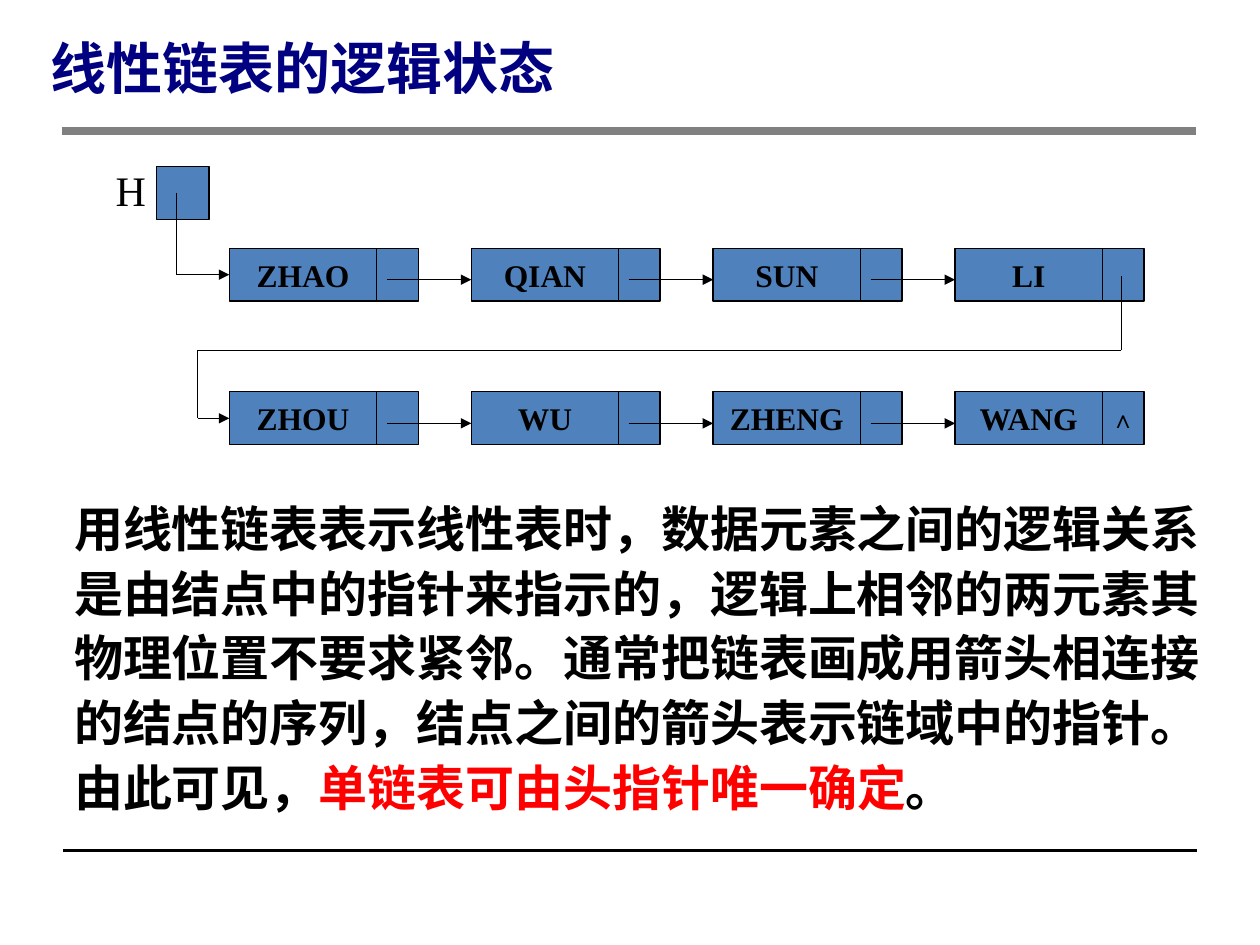
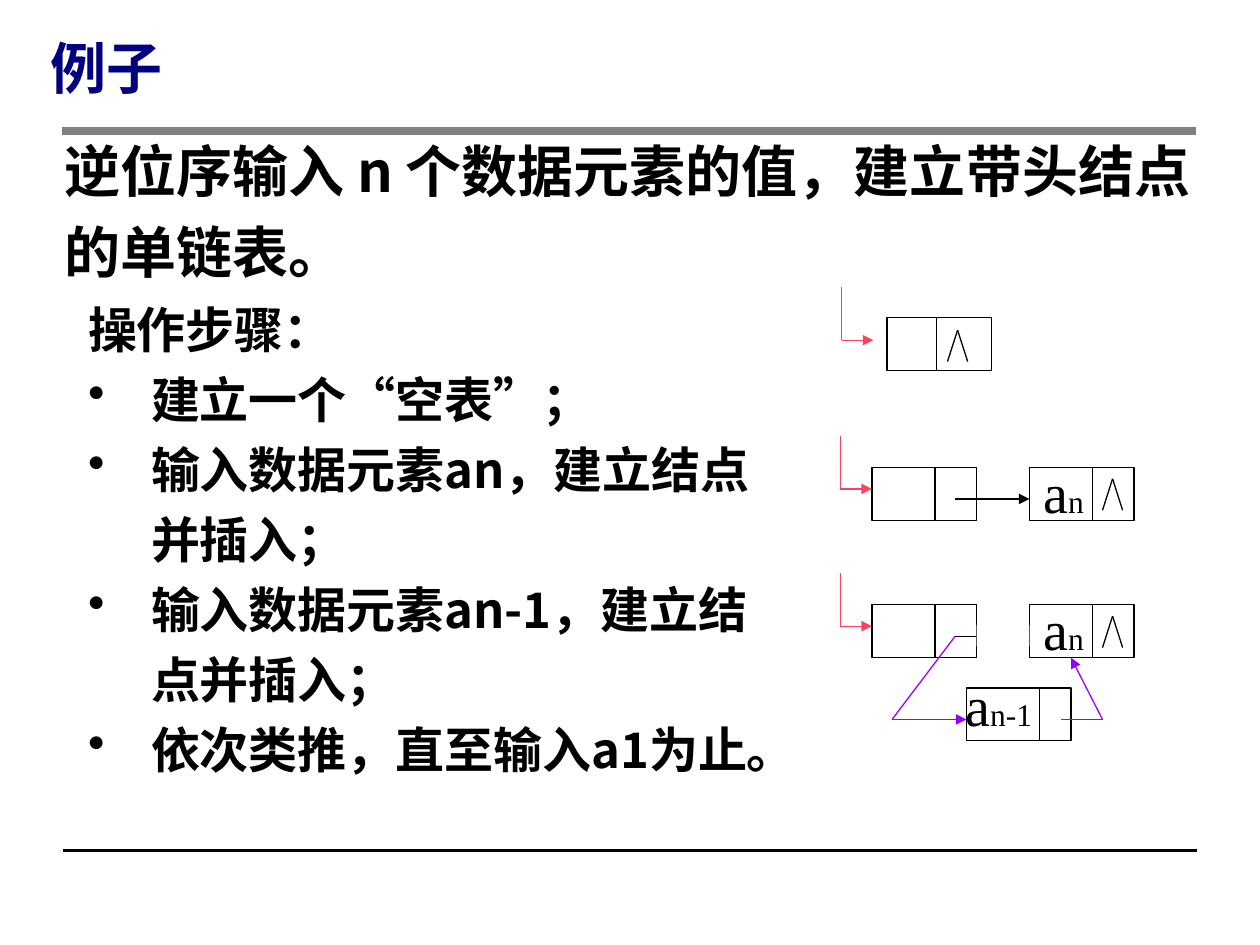
from dataclasses import dataclass

import pptx
import pptx.dml.color
import pptx.enum.lang
import pptx.enum.shapes
import pptx.enum.text
import pptx.oxml
import pptx.oxml.ns
import pptx.util

ALIGN = pptx.enum.text.PP_ALIGN
ANCHOR = pptx.enum.text.MSO_ANCHOR
FIT = pptx.enum.text.MSO_AUTO_SIZE


@dataclass(frozen=True)
class Theme:
    ink: str = "000000"
    title: str = "000080"
    rule: str = "808080"
    node: str = "4F81BD"
    paper: str = "FFFFFF"
    accent: str = "FF0000"
    head_pointer: str = "FB415C"
    new_link: str = "9900FF"
    sans: str = "Noto Sans CJK SC"
    serif: str = "Times New Roman"
    title_size: int = 32
    body_size: int = 28
    head_size: int = 24
    node_size: int = 18
    nil_size: int = 14
    line_pitch: int = 40
    thin: float = 0.75


THEME = Theme()
EMU_PER_PX = 9144  # 100 px to the inch
NODE_HEIGHT = 42


def px(length):
    return pptx.util.Emu(length * EMU_PER_PX)


def rgb(color):
    return pptx.dml.color.RGBColor.from_string(color)


def format_run(run, size, font=THEME.sans, color=THEME.ink, bold=False, chinese=False):
    run.font.size = pptx.util.Pt(size)
    run.font.name = font
    run.font.bold = bold
    run.font.color.rgb = rgb(color)
    if chinese:
        run.font.language_id = pptx.enum.lang.MSO_LANGUAGE_ID.SIMPLIFIED_CHINESE
        east_asian = pptx.oxml.parse_xml(
            f'<a:ea {pptx.oxml.ns.nsdecls("a")} typeface="{THEME.sans}"/>')
        run.font._element.find(pptx.oxml.ns.qn("a:latin")).addnext(east_asian)


def add_run(paragraph, text, size, **style):
    run = paragraph.add_run()
    run.text = text
    format_run(run, size, **style)


def add_text_box(slide, left, top, width, height, wrap=True):
    text_box = slide.shapes.add_textbox(px(left), px(top), px(width), px(height))
    text_box.text_frame.word_wrap = wrap
    text_box.text_frame.auto_size = FIT.SHAPE_TO_FIT_TEXT
    return text_box.text_frame


def add_line(slide, start, end, color=THEME.ink, weight=THEME.thin, arrow=False):
    line = slide.shapes.add_connector(
        pptx.enum.shapes.MSO_CONNECTOR.STRAIGHT, *map(px, (*start, *end)))
    line.line.color.rgb = rgb(color)
    line.line.width = pptx.util.Pt(weight)
    namespace = pptx.oxml.ns.nsdecls("a")
    if arrow:
        line.line._get_or_add_ln().append(
            pptx.oxml.parse_xml(f'<a:tailEnd {namespace} type="triangle"/>'))
    line._element.spPr.append(pptx.oxml.parse_xml(f"<a:effectLst {namespace}/>"))
    return line


def add_path(slide, *points, color=THEME.ink, arrow=True):
    """Draw a line through the points and return its last segment."""
    last = len(points) - 2
    for index, (start, end) in enumerate(zip(points, points[1:])):
        segment = add_line(slide, start, end, color, arrow=arrow and index == last)
    return segment


def add_cell(slide, left, top, width, height=NODE_HEIGHT, fill=THEME.node, outlined=True):
    cell = slide.shapes.add_shape(
        pptx.enum.shapes.MSO_SHAPE.RECTANGLE, px(left), px(top), px(width), px(height))
    cell.shadow.inherit = False
    cell.fill.solid()
    cell.fill.fore_color.rgb = rgb(fill)
    if outlined:
        cell.line.color.rgb = rgb(THEME.ink)
        cell.line.width = pptx.util.Pt(THEME.thin)
    else:
        cell.line.fill.background()
    return cell


def label_cell(cell, text, size, bold):
    frame = cell.text_frame
    frame.word_wrap = False
    frame.vertical_anchor = ANCHOR.MIDDLE
    frame.text = text
    frame.paragraphs[0].alignment = ALIGN.CENTER
    format_run(frame.paragraphs[0].runs[0], size, THEME.serif, bold=bold)


def add_titled_slide(presentation, title_text):
    slide = presentation.slides.add_slide(presentation.slide_layouts[5])
    add_line(slide, (50, 675), (950, 675), weight=2)
    add_line(slide, (49, 104), (949, 104), THEME.rule, 5)
    title = slide.shapes.title
    title.left, title.top, title.width, title.height = map(px, (30, 18, 850, 68))
    frame = title.text_frame
    frame.text = title_text
    frame.auto_size = FIT.NONE
    frame.vertical_anchor = ANCHOR.MIDDLE
    paragraph = frame.paragraphs[0]
    paragraph.alignment = ALIGN.LEFT
    paragraph.line_spacing = pptx.util.Pt(THEME.line_pitch)
    format_run(paragraph.runs[0], THEME.title_size, color=THEME.title,
               bold=True, chinese=True)
    return slide


def add_node_row(slide, left, top, names):
    """Draw a row of linked nodes and return the first data cell."""
    data_width, link_width, pitch = 117, 33, 192
    data_cells = []
    for index, name in enumerate(names):
        node_left = left + index * pitch
        link_left = node_left + data_width
        data_cells.append(add_cell(slide, node_left, top, data_width))
        label_cell(data_cells[-1], name, THEME.node_size, True)
        add_cell(slide, link_left, top, link_width)
    for index in range(len(names) - 1):
        node_left = left + index * pitch
        add_line(slide, (node_left + data_width + 8, top + 25),
                 (node_left + pitch, top + 25), arrow=True)
    return data_cells[0]


def add_logical_list(slide, left, top):
    """Draw the head pointer H and two node rows."""
    first_top, second_top = top + 65, top + 179
    rows_left = left + 100
    first = add_node_row(slide, rows_left, first_top, ("ZHAO", "QIAN", "SUN", "LI"))
    second = add_node_row(slide, rows_left, second_top, ("ZHOU", "WU", "ZHENG", "WANG"))
    nil_cell = slide.shapes[-4]
    label_cell(nil_cell, "∧", THEME.nil_size, False)

    add_cell(slide, left + 42, top, 42)
    head = add_text_box(slide, left, top - 6, 42, 50)
    head.paragraphs[0].alignment = ALIGN.RIGHT
    add_run(head.paragraphs[0], "H", THEME.head_size, font=THEME.serif)

    half = NODE_HEIGHT // 2
    first_y, second_y = first_top + half, second_top + half
    head_x, link_x, turn_x, turn_y = left + 58, left + 808, left + 75, top + 146
    to_first = add_path(slide, (head_x, top + half), (head_x, first_y),
                        (rows_left, first_y))
    to_first.end_connect(first, 1)
    to_second = add_path(slide, (link_x, top + 87), (link_x, turn_y), (turn_x, turn_y),
                         (turn_x, second_y), (rows_left, second_y))
    to_second.end_connect(second, 1)


def add_explanation(slide, left, top):
    paragraph = add_text_box(slide, left, top, 950, 267).paragraphs[0]
    paragraph.line_spacing = 1.1
    parts = (
        ("用线性链表表示线性表时，数据元素之间的逻辑关系是由结点中的指针来指示的，"
         "逻辑上相邻的两元素其物理位置不要求紧邻。通常把链表画成用箭头相连接的结点的序列，"
         "结点之间的箭头表示链域中的指针。由此可见，", THEME.ink),
        ("单链表可由头指针唯一确定", THEME.accent),
        ("。", THEME.ink),
    )
    for text, color in parts:
        add_run(paragraph, text, THEME.body_size, font=THEME.serif, color=color,
                bold=True, chinese=True)


def add_steps(slide, left, top):
    task = add_text_box(slide, left, top, 925, 139).paragraphs[0]
    task.line_spacing = 1.2
    add_run(task, "逆位序输入 n 个数据元素的值，建立带头结点的单链表。",
            THEME.title_size, bold=True, chinese=True)

    frame = add_text_box(slide, left + 19, top + 131, 575, 399)
    frame.text = "\n".join((
        "操作步骤：",
        "建立一个“空表”；",
        "输入数据元素an，建立结点并插入；",
        "输入数据元素an-1，建立结点并插入；",
        "依次类推，直至输入a1为止。",
    ))
    for index, paragraph in enumerate(frame.paragraphs):
        if index:
            properties = paragraph._p.get_or_add_pPr()
            properties.set("marL", str(px(50)))
            properties.set("indent", str(px(-50)))
            properties.append(pptx.oxml.parse_xml(
                f'<a:buChar {pptx.oxml.ns.nsdecls("a")} char="•"/>'))
        paragraph.line_spacing = pptx.util.Pt(THEME.line_pitch)
        format_run(paragraph.runs[0], THEME.body_size, bold=True, chinese=True)


def add_split_node(slide, left, top, divider=50):
    add_cell(slide, left, top, 83, fill=THEME.paper)
    add_line(slide, (left + divider, top), (left + divider, top + NODE_HEIGHT))


def add_nil(slide, x, top):
    for foot in (x - 8, x + 8):
        add_line(slide, (x, top), (foot, top + 25))


def add_head_pointer(slide, tip_x, tip_y):
    add_path(slide, (tip_x - 25, tip_y - 42), (tip_x - 25, tip_y), (tip_x, tip_y),
             color=THEME.head_pointer)


def add_element_label(slide, left, top, width, index):
    paragraph = add_text_box(slide, left, top, width, 63, wrap=False).paragraphs[0]
    paragraph.alignment = ALIGN.RIGHT
    add_run(paragraph, "a", THEME.title_size, font=THEME.serif)
    add_run(paragraph, index, THEME.node_size, font=THEME.serif)


def add_empty_stage(slide, left, top):
    add_split_node(slide, left, top, 39)
    add_head_pointer(slide, left - 11, top + 18)
    add_nil(slide, left + 56, top + 10)


def add_list_stage(slide, left, top):
    """Draw a head node and the last node, not yet linked."""
    last_left = left + 125
    add_split_node(slide, left, top)
    add_head_pointer(slide, left, top + 17)
    add_split_node(slide, last_left, top)
    add_nil(slide, last_left + 66, top + 9)
    add_element_label(slide, last_left + 1, top - 13, 52, "n")


def add_insertion(slide, left, top):
    """Draw the new node below a list stage and the links that change."""
    new_left, new_top, link_y = left + 75, top + 66, top + 91
    add_line(slide, (left + 66, top + 25), (left + 83, top + 25))
    add_split_node(slide, new_left, new_top, 58)
    add_element_label(slide, new_left - 11, new_top - 19, 73, "n-1")
    add_path(slide, (new_left + 75, link_y), (new_left + 108, link_y),
             (new_left + 83, top + NODE_HEIGHT), color=THEME.new_link)
    add_path(slide, (left + 66, top + 25), (left + 16, link_y), (new_left, link_y),
             color=THEME.new_link)
    add_cell(slide, left + 83, top + 16, 42, 17, THEME.paper, outlined=False)


def main():
    presentation = pptx.Presentation()
    presentation.slide_width, presentation.slide_height = px(1000), px(750)

    logic_slide = add_titled_slide(presentation, "线性链表的逻辑状态")
    add_logical_list(logic_slide, 82, 132)
    add_explanation(logic_slide, 49, 386)

    example_slide = add_titled_slide(presentation, "例子")
    add_steps(example_slide, 41, 93)
    add_empty_stage(example_slide, 704, 252)
    add_list_stage(example_slide, 692, 371)
    add_line(example_slide, (758, 396), (817, 396), arrow=True)
    add_list_stage(example_slide, 692, 480)
    add_insertion(example_slide, 692, 480)

    presentation.save("out.pptx")


if __name__ == "__main__":
    main()
